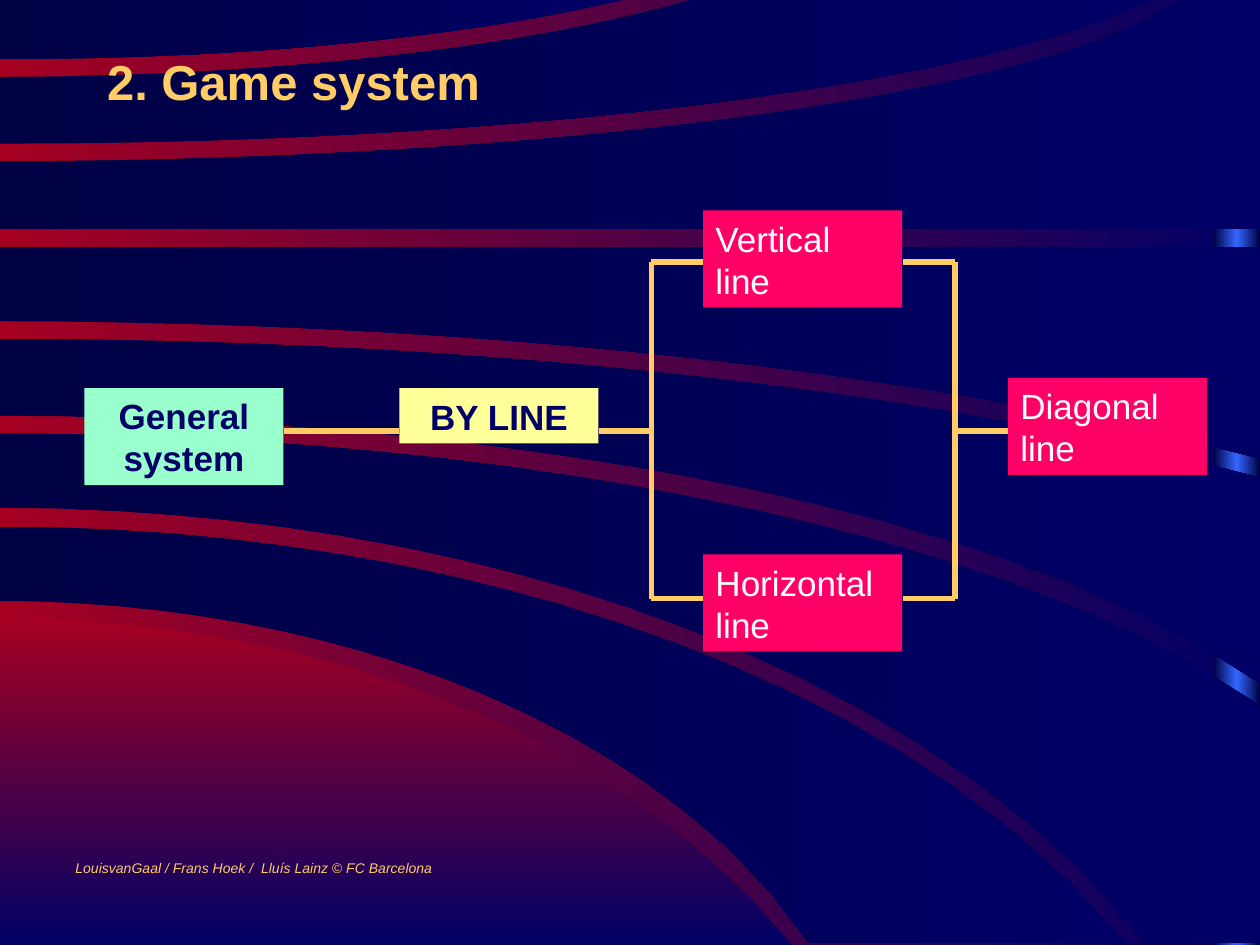
from copy import deepcopy
from math import sqrt

from lxml import etree
from pptx import Presentation
from pptx.dml.color import RGBColor
from pptx.enum.shapes import MSO_CONNECTOR, MSO_SHAPE
from pptx.enum.text import MSO_ANCHOR, PP_ALIGN
from pptx.oxml.ns import qn
from pptx.util import Inches, Pt

RECT, STRAIGHT = MSO_SHAPE.RECTANGLE, MSO_CONNECTOR.STRAIGHT
LEFT, CENTER = PP_ALIGN.LEFT, PP_ALIGN.CENTER
BOTTOM, TOP = MSO_ANCHOR.BOTTOM, MSO_ANCHOR.TOP
NIGHT, NAVY, RED, BLUE = "000044", "000066", "A50021", "3366FF"
GOLD, PINK, WHITE = "FFCC66", "FF0066", "FFFFFF"
STEPS = 20


def set_gradient(fill, colors, angle=0):
    """Fill with evenly spaced colours; the angle runs counter-clockwise."""
    fill.gradient()
    fill.gradient_angle = angle
    first = fill.gradient_stops[0]._gs
    for _ in colors[2:]:
        first.addnext(deepcopy(first))
    for i, (stop, color) in enumerate(zip(fill.gradient_stops, colors)):
        stop.position = i / (len(colors) - 1)
        stop.color.rgb = RGBColor.from_string(color)


def write(shape, text, size, color, align=LEFT, anchor=BOTTOM, wrap=True, **font):
    tf = shape.text_frame
    tf.word_wrap = wrap
    tf.vertical_anchor = anchor
    p = tf.paragraphs[0]
    p.alignment = align
    r = p.add_run()
    r.text = text
    r.font.color.rgb = RGBColor.from_string(color)
    for name, value in {"name": "Arial", "size": Pt(size), **font}.items():
        setattr(r.font, name, value)


prs = Presentation()
prs.slide_width, prs.slide_height = Inches(10), Inches(7.5)
s = prs.slides.add_slide(prs.slide_layouts[5])
set_gradient(s.background.fill, [RED, NAVY])

# Backdrop: a strip at the right edge, a glowing hill and dark bands
strip = s.shapes.add_shape(RECT, Inches(9.63), 0, Inches(0.37), Inches(7.5))
strip.shadow.inherit = False
strip.line.fill.background()
set_gradient(strip.fill, [NIGHT, BLUE, NIGHT])

# Every edge is part of an ellipse: start y, x radius, y radius (minus bends up), end x
hill = [(4.91, 7.2, 5.07, 6.28), (7.5, 10, 0, 6.28)]
bands = [
    [(4.18, 9.9, 5.81, 8.93), (4.77, 7, 4.51, 6.42)],
    [(3.44, 11.2, 3.93, 10), (4.03, 10, 5.92, 9.09)],
    [(2.69, 14, 3.67, 10), (3.3, 11, 3.64, 10)],
    [(1.96, 10, 0, 10), (2.55, 14, 3.63, 10)],
    [(1.28, 9.7, -1.7, 9.43), (1.82, 10, 0, 10)],
    [(0.61, 7, -1.61, 5.56), (1.14, 9.7, -1.72, 9.17)],
    [(-0.02, 10, 0, 5.01), (0.47, 6.5, -1.35, 5.01)],
]
backdrop = [(hill, [RED, NAVY], 270)] + [(band, [NIGHT, NAVY], 0) for band in bands]
for edges, colors, angle in backdrop:
    upper_edge, lower_edge = [
        [(end * i / STEPS, y + ry * (1 - sqrt(1 - (end * i / STEPS / rx) ** 2)))
         for i in range(STEPS + 1)]
        for y, rx, ry, end in edges
    ]
    shorter, longer = sorted([upper_edge[-1], lower_edge[-1]])
    corner = (longer[0], shorter[1])
    outline = upper_edge + [corner] + lower_edge[::-1]
    points = [(Inches(x), Inches(y)) for x, y in outline]
    builder = s.shapes.build_freeform(*points[0])
    builder.add_line_segments(points[1:])
    sp = builder.convert_to_shape()
    sp.shadow.inherit = False
    sp.line.fill.background()
    set_gradient(sp.fill, colors, angle)

# Boxes of the diagram
boxes = [
    ("General system", 0.67, 3.08, 0.77, "99FFCC", NAVY, CENTER, True),
    ("BY LINE", 3.17, 3.08, 0.44, "FFFF99", NAVY, CENTER, True),
    ("Vertical line", 5.58, 1.67, 0.77, PINK, WHITE, LEFT, False),
    ("Horizontal line", 5.58, 4.4, 0.77, PINK, WHITE, LEFT, False),
    ("Diagonal line", 8, 3, 0.77, PINK, WHITE, LEFT, False),
]
for text, x, y, height, fill, color, align, bold in boxes:
    sp = s.shapes.add_shape(RECT, Inches(x), Inches(y), Inches(1.58), Inches(height))
    sp.shadow.inherit = False
    sp.fill.solid()
    sp.fill.fore_color.rgb = RGBColor.from_string(fill)
    sp.line.fill.background()
    write(sp, text, 20, color, align, bold=bold)

# Lines: the middle row, then a bracket on each side of the upper and lower boxes
upper, middle, lower = 2.08, 3.42, 4.75
lines = [(x1, middle, x2, middle) for x1, x2 in [(2.25, 3.17), (4.75, 5.17), (7.58, 8)]]
for spine, left, right in [(5.17, 5.17, 5.58), (7.58, 7.17, 7.58)]:
    lines.append((spine, upper, spine, lower))
    lines += [(left, y, right, y) for y in (upper, lower)]
for ends in lines:
    line = s.shapes.add_connector(STRAIGHT, *[Inches(v) for v in ends])
    line.line.color.rgb = RGBColor.from_string(GOLD)
    line.line.width = Pt(3)
    etree.SubElement(line._element.spPr, qn("a:effectLst"))

credit = s.shapes.add_textbox(Inches(0.5), Inches(6.77), Inches(3.04), Inches(0.23))
write(credit, "LouisvanGaal / Frans Hoek /  Lluís Lainz © FC Barcelona", 8, GOLD,
      anchor=TOP, wrap=False, italic=True)

title = s.shapes.title
title.left, title.top = Inches(0.75), Inches(0.36)
title.width, title.height = Inches(4.17), Inches(0.57)
write(title, "2. Game system", 28, GOLD, bold=True)
s.shapes._spTree.append(title._element)  # bring the title in front of the backdrop

prs.save("out.pptx")
